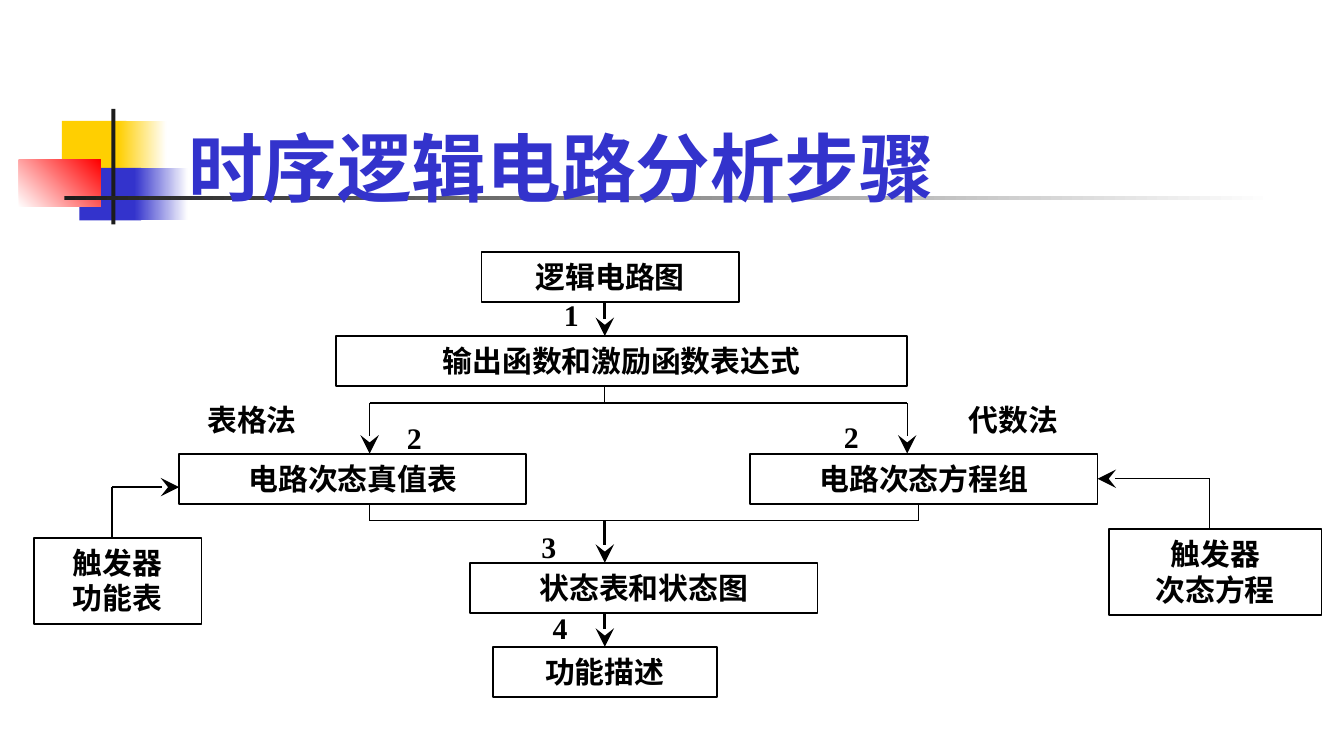
from typing import NamedTuple, Optional

from lxml import etree
from pptx import Presentation
from pptx.dml.color import RGBColor
from pptx.enum.shapes import MSO_CONNECTOR, MSO_SHAPE
from pptx.enum.text import MSO_ANCHOR, MSO_AUTO_SIZE, PP_ALIGN
from pptx.oxml.ns import qn
from pptx.util import Inches, Pt

RECTANGLE = MSO_SHAPE.RECTANGLE
STRAIGHT = MSO_CONNECTOR.STRAIGHT
CENTER, LEFT = PP_ALIGN.CENTER, PP_ALIGN.LEFT
TOP = MSO_ANCHOR.TOP
FIT_SHAPE, NO_FIT = MSO_AUTO_SIZE.SHAPE_TO_FIT_TEXT, MSO_AUTO_SIZE.NONE

BLACK = RGBColor(0x00, 0x00, 0x00)
WHITE = RGBColor(0xFF, 0xFF, 0xFF)
CHARCOAL = RGBColor(0x1C, 0x1C, 0x1C)
YELLOW = RGBColor(0xFF, 0xCF, 0x01)
BLUE = RGBColor(0x33, 0x33, 0xCC)
RED = RGBColor(0xFF, 0x00, 0x00)

WIDTH, HEIGHT = Inches(10), Inches(5.625)
COLUMN, ROW = WIDTH / 120, HEIGHT / 90
TITLE_ONLY = 5
RIGHT_SIDE = 3


class Block(NamedTuple):
    """Decorative rectangle in inches, plain or fading to a second colour."""
    left: float
    top: float
    width: float
    height: float
    color: RGBColor
    fade: Optional[RGBColor] = None
    angle: float = 0


class Node(NamedTuple):
    """Text on the grid, in columns and rows."""
    text: str
    column: float
    row: float
    columns: float
    rows: float = 6


class Link(NamedTuple):
    """Line between two grid points."""
    start: tuple[float, float]
    end: tuple[float, float]
    arrow: bool = False
    weight: float = 0.75


DECORATION = [
    Block(0.46, 0.9, 0.48, 0.39, YELLOW),
    Block(0.88, 0.9, 0.36, 0.39, YELLOW, WHITE),
    Block(0.59, 1.25, 0.46, 0.39, BLUE),
    Block(1, 1.25, 0.4, 0.39, BLUE, WHITE),
    Block(0.14, 1.19, 0.61, 0.35, WHITE, RED, 45),
    Block(0.83, 0.81, 0.03, 0.86, CHARCOAL),
    Block(0.48, 1.46, 9, 0.03, CHARCOAL, WHITE),
]

EQUATIONS = Node("电路次态方程组", 67, 54, 31)
STEPS = [
    Node("逻辑电路图", 43, 30, 23),
    Node("输出函数和激励函数表达式", 30, 40, 51),
    Node("电路次态真值表", 16, 54, 31),
    EQUATIONS,
    Node("状态表和状态图", 42, 67, 31),
    Node("功能描述", 44, 77, 20),
    Node("触发器\n功能表", 3, 64, 15, 10.25),
    Node("触发器\n次态方程", 99, 63, 19, 10.25),
]

LABELS = [
    Node("1", 49, 34.5, 4),
    Node("2", 35, 49.2, 4),
    Node("2", 74, 49, 4),
    Node("3", 47, 62.1, 4),
    Node("4", 48, 71.75, 4),
    Node("表格法", 15, 47, 15),
    Node("代数法", 83, 47, 15),
]

LINKS = [
    # Main flow
    Link((54, 36), (54, 40), True, 1.5),
    Link((54, 62), (54, 67), True, 1.5),
    Link((54, 73), (54, 77), True, 1.5),
    # Split into the two methods
    Link((54, 46), (54, 48)),
    Link((33, 48), (81, 48)),
    Link((33, 48), (33, 54), True),
    Link((81, 48), (81, 54), True),
    # Merge of the two methods
    Link((33, 60), (33, 62)),
    Link((82, 60), (82, 62)),
    Link((33, 62), (82, 62)),
    # Flip-flop inputs
    Link((10, 64), (10, 58)),
    Link((10, 58), (16, 58), True),
    Link((108, 63), (108, 57)),
]
EQUATION_INPUT = Link((108, 57), (98, 57), True)


def grid(column: float, row: float) -> tuple[int, int]:
    return round(column * COLUMN), round(row * ROW)


def draw_block(slide, block: Block) -> None:
    box = slide.shapes.add_shape(RECTANGLE, *(Inches(value) for value in block[:4]))
    box.shadow.inherit = False
    box.line.fill.background()
    if block.fade is None:
        box.fill.solid()
        box.fill.fore_color.rgb = block.color
        return
    box.fill.gradient()
    box.fill.gradient_angle = block.angle
    for stop, color in zip(box.fill.gradient_stops, (block.color, block.fade)):
        stop.color.rgb = color


def write_node(box, text: str) -> None:
    frame = box.text_frame
    frame.word_wrap = True
    frame.auto_size = FIT_SHAPE
    frame.vertical_anchor = TOP
    para = frame.paragraphs[0]
    para.alignment = CENTER
    for index, line in enumerate(text.split("\n")):
        if index:
            para.add_line_break()
        span = para.add_run()
        span.text = line
        span.font.name = "Times New Roman"
        span.font.size = Pt(16)
        span.font.bold = True
        span.font.color.rgb = BLACK


def draw_step(slide, node: Node):
    box = slide.shapes.add_shape(RECTANGLE, *grid(node.column, node.row),
                                 *grid(node.columns, node.rows))
    box.shadow.inherit = False
    box.fill.background()
    box.line.color.rgb = BLACK
    box.line.width = Pt(1)
    write_node(box, node.text)
    return box


def draw_label(slide, node: Node) -> None:
    box = slide.shapes.add_textbox(*grid(node.column, node.row),
                                   *grid(node.columns, node.rows))
    write_node(box, node.text)


def draw_link(slide, link: Link):
    line = slide.shapes.add_connector(STRAIGHT, *grid(*link.start), *grid(*link.end))
    line.line.color.rgb = BLACK
    line.line.width = Pt(link.weight)
    if link.arrow:
        etree.SubElement(line.line._get_or_add_ln(), qn("a:tailEnd"),
                         type="stealth", w="lg", len="lg")
    etree.SubElement(line.element.spPr, qn("a:effectLst"))
    return line


def write_title(slide, text: str) -> None:
    title = slide.shapes.title
    title.left, title.top = Inches(1.3), Inches(0.86)
    title.width, title.height = Inches(6.06), Inches(0.65)
    frame = title.text_frame
    frame.auto_size = NO_FIT
    frame.vertical_anchor = TOP
    para = frame.paragraphs[0]
    para.alignment = LEFT
    span = para.add_run()
    span.text = text
    span.font.name = "Roboto"
    span.font.size = Pt(40)
    span.font.bold = True
    span.font.color.rgb = BLUE
    # Bring the title in front of the decoration
    title.element.getparent().append(title.element)


def main() -> None:
    deck = Presentation()
    deck.slide_width, deck.slide_height = WIDTH, HEIGHT
    page = deck.slides.add_slide(deck.slide_layouts[TITLE_ONLY])
    for block in DECORATION:
        draw_block(page, block)
    write_title(page, "时序逻辑电路分析步骤")
    # Flow chart
    boxes = {node: draw_step(page, node) for node in STEPS}
    for link in LINKS:
        draw_link(page, link)
    draw_link(page, EQUATION_INPUT).end_connect(boxes[EQUATIONS], RIGHT_SIDE)
    for label in LABELS:
        draw_label(page, label)
    deck.save("out.pptx")


if __name__ == "__main__":
    main()
